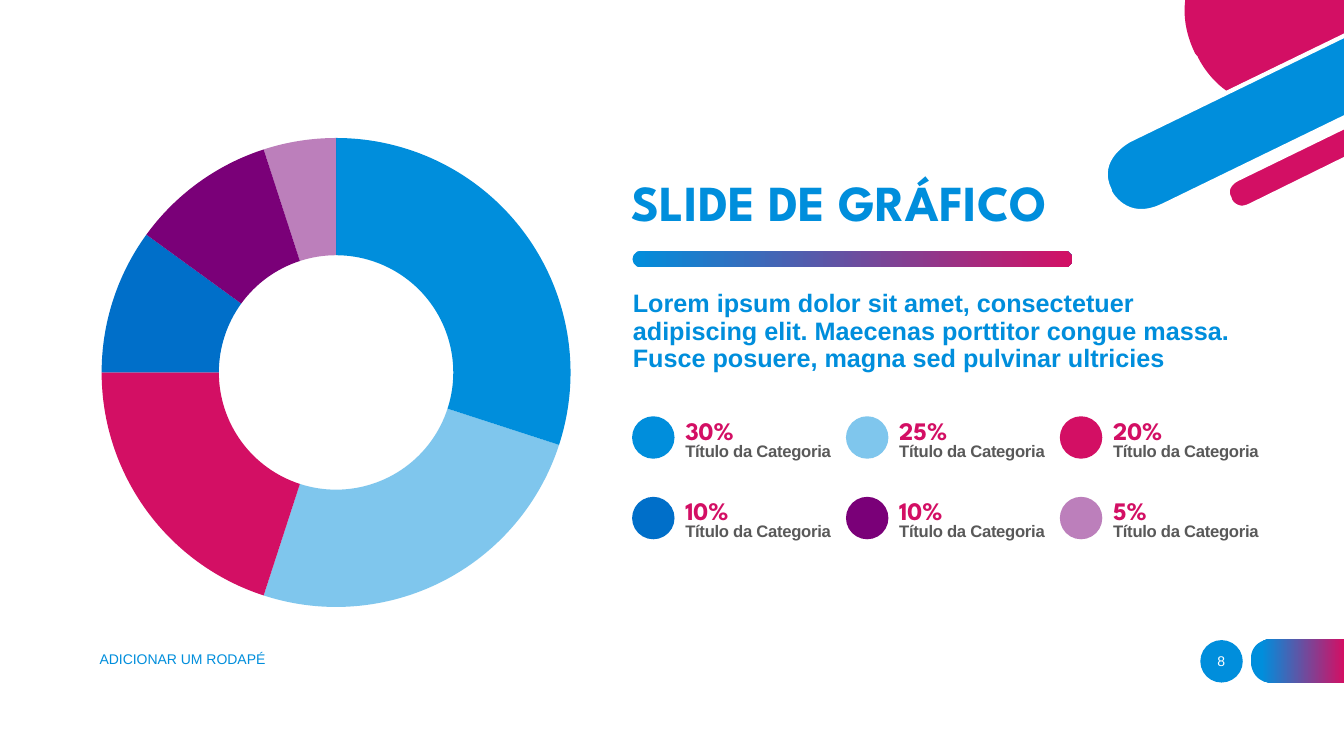
import pptx
import pptx.chart.data
import pptx.dml.color
import pptx.enum.chart
import pptx.enum.shapes
import pptx.enum.text
import pptx.oxml
import pptx.oxml.ns
import pptx.util

Cm = pptx.util.Cm
Pt = pptx.util.Pt
RGB = pptx.dml.color.RGBColor
PRESET = pptx.enum.shapes.MSO_SHAPE
ANCHOR = pptx.enum.text.MSO_ANCHOR
ALIGN = pptx.enum.text.PP_ALIGN

BLUE = RGB(0x00, 0x8E, 0xDC)
PINK = RGB(0xD3, 0x0F, 0x64)
DEEP_BLUE = RGB(0x00, 0x6F, 0xC9)
PURPLE = RGB(0x7A, 0x00, 0x78)
GREY = RGB(0x59, 0x59, 0x59)
WHITE = RGB(0xFF, 0xFF, 0xFF)

HEADING, BODY = "League Spartan", "Arial"
TITLE_FONT = {"name": HEADING, "size": Pt(36), "bold": True}
INTRO_FONT = {"name": BODY, "size": Pt(18), "bold": True}
SHARE_FONT = {"name": HEADING, "size": Pt(18), "bold": True}
CATEGORY_FONT = {"name": BODY, "size": Pt(11.9), "bold": True}
FOOTER_FONT = {"name": BODY, "size": Pt(10), "bold": False}

# Share in percent, colour, opacity in percent
SHARES = [
    (30, BLUE, 100), (25, BLUE, 50), (20, PINK, 100),
    (10, DEEP_BLUE, 100), (10, PURPLE, 100), (5, PURPLE, 50),
]


def set_all(target, values):
    for key, value in values.items():
        setattr(target, key, value)


def paint(fill, color, opacity=100):
    fill.solid()
    fill.fore_color.rgb = color
    if opacity < 100:
        rgb = fill._xPr.find(".//" + pptx.oxml.ns.qn("a:srgbClr"))
        alpha = pptx.oxml.parse_xml(
            f'<a:alpha {pptx.oxml.ns.nsdecls("a")} val="{opacity * 1000}"/>')
        rgb.append(alpha)


def blend(fill, start=0.0):
    """Blue to pink, from left to right."""
    fill.gradient()
    fill.gradient_angle = 0
    for stop, color, position in zip(fill.gradient_stops, (BLUE, PINK), (start, 1.0)):
        stop.color.rgb = color
        stop.position = position


def bare(shape):
    shape.shadow.inherit = False
    shape.line.fill.background()
    return shape


def add_dot(slide, left, top, size, color, opacity=100):
    dot = bare(slide.shapes.add_shape(PRESET.OVAL, Cm(left), Cm(top), Cm(size), Cm(size)))
    paint(dot.fill, color, opacity)


def add_text(slide, box, words, font, color, anchor=ANCHOR.TOP, tracking=None, **paragraph):
    frame = slide.shapes.add_textbox(*map(Cm, box)).text_frame
    set_all(frame, {"word_wrap": True, "vertical_anchor": anchor})
    line = frame.paragraphs[0]
    set_all(line, paragraph)
    run = line.add_run()
    run.text = words
    set_all(run.font, font)
    run.font.color.rgb = color
    if tracking is not None:
        run.font._element.set("spc", str(tracking))


def add_outline(slide, left, top, start, steps):
    """A step of one point is a line, a step of three points is a cubic curve."""
    points = [start]
    for step in steps:
        if len(step) == 1:
            points += step
            continue
        p0 = points[-1]
        p1, p2, p3 = step
        for t in (i / 16 for i in range(1, 17)):
            u = 1 - t
            points.append(tuple(
                u ** 3 * a + 3 * u * u * t * b + 3 * u * t * t * c + t ** 3 * d
                for a, b, c, d in zip(p0, p1, p2, p3)))
    corners = [(Cm(left + x), Cm(top + y)) for x, y in points]
    builder = slide.shapes.build_freeform(*corners[0])
    builder.add_line_segments(corners[1:], close=True)
    return bare(builder.convert_to_shape())


def add_corner_art(slide, left, top):
    # Pink disc cut by the band
    disc = add_outline(slide, left, top, (2.68, 1.42), [
        [(2.68, 1.42), (2.9, 1.93), (3.41, 2.29)],
        [(6.37, 0.86)], [(6.37, 0)], [(2.37, 0)],
        [(2.32, 0.38), (2.37, 0.84), (2.62, 1.35)]])
    paint(disc.fill, PINK)
    # Slanted bands with a white rim
    thin_band = [(6.5, 3.14), [
        [(3.67, 4.52)], [(3.67, 4.52), (3.31, 4.7), (3.49, 5)], [(3.49, 5.03)],
        [(3.49, 5.03), (3.64, 5.36), (4, 5.18)], [(6.5, 3.95)]]]
    wide_band = [(6.5, 0.84), [
        [(0.97, 3.53)], [(0.97, 3.53), (0.06, 3.99), (0.47, 4.8)], [(0.47, 4.83)],
        [(0.47, 4.83), (0.87, 5.64), (1.81, 5.18)], [(6.5, 2.9)]]]
    for (start, steps), color in ((thin_band, PINK), (wide_band, BLUE)):
        band = add_outline(slide, left, top, start, steps)
        paint(band.fill, color)
        paint(band.line.fill, WHITE)
        band.line.width = Pt(3)


def add_doughnut(slide, left, top, width, height):
    data = pptx.chart.data.CategoryChartData()
    data.categories = [str(n + 1) for n in range(len(SHARES))]
    data.add_series("Series 1", [share for share, _, _ in SHARES])
    chart = slide.shapes.add_chart(
        pptx.enum.chart.XL_CHART_TYPE.DOUGHNUT,
        Cm(left), Cm(top), Cm(width), Cm(height), data).chart
    set_all(chart, {"has_legend": False, "has_title": False})
    set_all(chart.font, {"name": BODY, "size": Pt(10)})
    plot = chart.plots[0]
    plot.vary_by_categories = True
    for index, (_, color, opacity) in enumerate(SHARES):
        slice_format = plot.series[0].points[index].format
        paint(slice_format.fill, color, opacity)
        slice_format.line.fill.background()
    plot._element.find(pptx.oxml.ns.qn("c:holeSize")).set("val", "52")

    # Ring centred in its frame
    ring = 11.82
    w, h = ring / width, ring / height
    place = {"x": (1 - w) / 2, "y": (1 - h) / 2, "w": w, "h": h}
    values = "".join(f'<c:{key} val="{value:.3f}"/>' for key, value in place.items())
    layout = pptx.oxml.parse_xml(
        f'<c:layout {pptx.oxml.ns.nsdecls("c")}><c:manualLayout>'
        '<c:layoutTarget val="inner"/><c:xMode val="edge"/><c:yMode val="edge"/>'
        f'{values}</c:manualLayout></c:layout>')
    area = chart._chartSpace.chart.plotArea
    for old in area.findall(pptx.oxml.ns.qn("c:layout")):
        area.remove(old)
    area.insert(0, layout)


def add_heading(slide, left, top):
    add_text(slide, (left, top, 12.22, 1.88), "SLIDE DE GRÁFICO", TITLE_FONT, BLUE,
             ANCHOR.BOTTOM, line_spacing=0.9)
    bar = bare(slide.shapes.add_shape(
        PRESET.ROUNDED_RECTANGLE, Cm(left + 0.27), Cm(top + 2.23), Cm(11.08), Cm(0.42)))
    bar.adjustments[0] = 0.5
    blend(bar.fill)
    add_text(slide, (left + 0.03, top + 3.12, 15.65, 2.31),
             "Lorem ipsum dolor sit amet, consectetuer adipiscing elit. Maecenas "
             "porttitor congue massa. Fusce posuere, magna sed pulvinar ultricies",
             INTRO_FONT, BLUE, line_spacing=0.9, space_before=Pt(10))


def add_legend(slide, left, top, columns=3, column_step=5.39, row_step=2.03):
    for index, (share, color, opacity) in enumerate(SHARES):
        row, column = divmod(index, columns)
        x, y = left + column * column_step, top + row * row_step
        add_dot(slide, x, y, 1.07, color, opacity)
        add_text(slide, (x + 1.09, y - 0.15, 4.45, 1.02), f"{share}%", SHARE_FONT, PINK,
                 ANCHOR.BOTTOM, line_spacing=0.9, space_before=Pt(10))
        add_text(slide, (x + 1.09, y + 0.58, 4.45, 1.02), "Título da Categoria",
                 CATEGORY_FONT, GREY, tracking=-20, line_spacing=0.8, space_before=Pt(6))


def add_footer(slide, left, top):
    add_text(slide, (left, top, 11.43, 1.02), "ADICIONAR UM RODAPÉ", FOOTER_FONT, BLUE,
             ANCHOR.MIDDLE)
    # Page number and edge tab
    add_dot(slide, left + 27.99, top + 0.03, 1.07, BLUE)
    add_text(slide, (left + 27.76, top + 0.05, 1.52, 1.02), "8", FOOTER_FONT, WHITE,
             ANCHOR.MIDDLE, alignment=ALIGN.CENTER)
    tab = add_outline(slide, left + 29.26, top, (0.53, 1.1), [
        [(2.35, 1.1)], [(2.35, 0)], [(0.53, 0)],
        [(0.53, 0), (0, 0), (0, 0.54)], [(0, 0.56)],
        [(0, 0.56), (0, 1.1), (0.53, 1.1)]])
    blend(tab.fill, 0.12)


def main():
    deck = pptx.Presentation()
    set_all(deck, {"slide_width": Cm(33.87), "slide_height": Cm(19.05)})
    slide = deck.slides.add_slide(deck.slide_layouts[6])
    add_corner_art(slide, 27.5, 0)
    add_doughnut(slide, 2.21, 3.02, 12.52, 12.75)
    add_heading(slide, 15.67, 4.09)
    add_legend(slide, 15.93, 10.49)
    add_footer(slide, 2.26, 16.1)
    deck.save("out.pptx")


if __name__ == "__main__":
    main()
